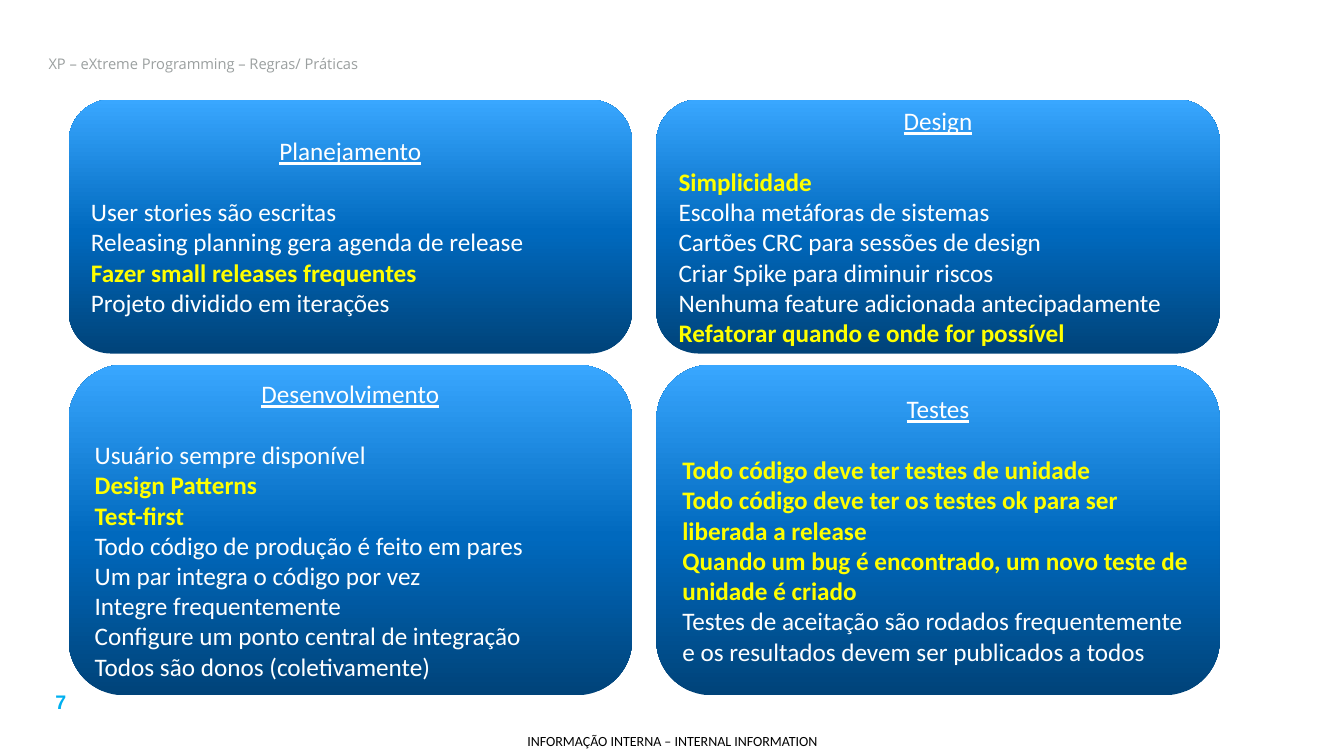
from copy import deepcopy

from pptx import Presentation
from pptx.dml.color import RGBColor
from pptx.enum.shapes import MSO_SHAPE as Shape
from pptx.enum.text import MSO_ANCHOR as Anchor, MSO_AUTO_SIZE as AutoSize, PP_ALIGN as Align
from pptx.oxml.ns import qn
from pptx.util import Cm, Pt

COLORS = {
    "title": "9BA0A0",
    "number": "00B0F0",
    "footer": "000000",
    "text": "FFFFFF",
    "highlight": "FFFF00",
}
GRADIENT = [(0, "004379"), (0.48, "0069BE"), (1, "39A7FF")]

COLUMN_LEFTS = (1.73, 16.54)
CARD_WIDTH = 14.2
ROWS = ((2.51, 6.4), (9.19, 8.33))

CARDS = [
    ("Planejamento", [
        ("User stories são escritas", False),
        ("Releasing planning gera agenda de release", False),
        ("Fazer small releases frequentes", True),
        ("Projeto dividido em iterações", False),
    ]),
    ("Design", [
        ("Simplicidade", True),
        ("Escolha metáforas de sistemas", False),
        ("Cartões CRC para sessões de design", False),
        ("Criar Spike para diminuir riscos", False),
        ("Nenhuma feature adicionada antecipadamente", False),
        ("Refatorar quando e onde for possível", True),
    ]),
    ("Desenvolvimento", [
        ("Usuário sempre disponível", False),
        ("Design Patterns", True),
        ("Test-first", True),
        ("Todo código de produção é feito em pares", False),
        ("Um par integra o código por vez", False),
        ("Integre frequentemente", False),
        ("Configure um ponto central de integração", False),
        ("Todos são donos (coletivamente)", False),
    ]),
    ("Testes", [
        ("Todo código deve ter testes de unidade", True),
        ("Todo código deve ter os testes ok para ser liberada a release", True),
        ("Quando um bug é encontrado, um novo teste de unidade é criado", True),
        ("Testes de aceitação são rodados frequentemente "
         "e os resultados devem ser publicados a todos", False),
    ]),
]


def write(para, text, size, color, font="Calibri", align=Align.LEFT, bold=False):
    para.text = text
    para.alignment = align
    para.font.name = font
    para.font.size = Pt(size)
    para.font.bold = bold
    para.font.color.rgb = RGBColor.from_string(COLORS[color])


def set_title(page, text):
    title = page.shapes.title
    title.left, title.top, title.width, title.height = Cm(0.97), Cm(0.97), Cm(30.18), Cm(1.27)
    frame = title.text_frame
    frame.auto_size = AutoSize.NONE
    frame.vertical_anchor = Anchor.MIDDLE
    write(frame.paragraphs[0], text, 10.5, "title", "Open Sans")


def add_label(page, text, place, size, color, font, bold=False):
    box = page.shapes.add_textbox(*map(Cm, place))
    frame = box.text_frame
    frame.word_wrap = True
    write(frame.paragraphs[0], text, size, color, font, Align.CENTER, bold)
    return frame


def fill_gradient(shape):
    fill = shape.fill
    fill.gradient()
    fill.gradient_angle = 90
    stop_list = next(shape.element.spPr.iter(qn("a:gsLst")))
    stop_list.append(deepcopy(stop_list[0]))
    for stop, (position, color) in zip(fill.gradient_stops, GRADIENT):
        stop.position = position
        stop.color.rgb = RGBColor.from_string(color)


def add_card(page, place, heading, practices):
    card = page.shapes.add_shape(Shape.ROUNDED_RECTANGLE, *map(Cm, place))
    card.shadow.inherit = False
    card.line.fill.background()
    fill_gradient(card)
    frame = card.text_frame
    frame.word_wrap = True
    frame.vertical_anchor = Anchor.MIDDLE
    header = frame.paragraphs[0]
    write(header, heading, 18, "text", align=Align.CENTER)
    header.font.underline = True
    header.space_after = Pt(21.8)
    for text, key in practices:
        color = "highlight" if key else "text"
        write(frame.add_paragraph(), text, 18, color, bold=key)


def main():
    deck = Presentation()
    deck.slide_width, deck.slide_height = Cm(33.87), Cm(19.05)
    page = deck.slides.add_slide(deck.slide_layouts[5])
    add_label(page, "7", (0.53, 17.27, 2.01, 0.86), 14, "number", "Arial", True)
    footer = add_label(page, "INFORMAÇÃO INTERNA – INTERNAL INFORMATION",
                       (12.78, 18.31, 8.33, 0.74), 10, "footer", "Calibri")
    footer.vertical_anchor = Anchor.MIDDLE
    footer.margin_left = footer.margin_right = footer.margin_top = footer.margin_bottom = 0
    set_title(page, "XP – eXtreme Programming – Regras/ Práticas")
    places = [(left, top, CARD_WIDTH, height) for top, height in ROWS for left in COLUMN_LEFTS]
    for place, (heading, practices) in zip(places, CARDS):
        add_card(page, place, heading, practices)
    deck.save("out.pptx")


main()
